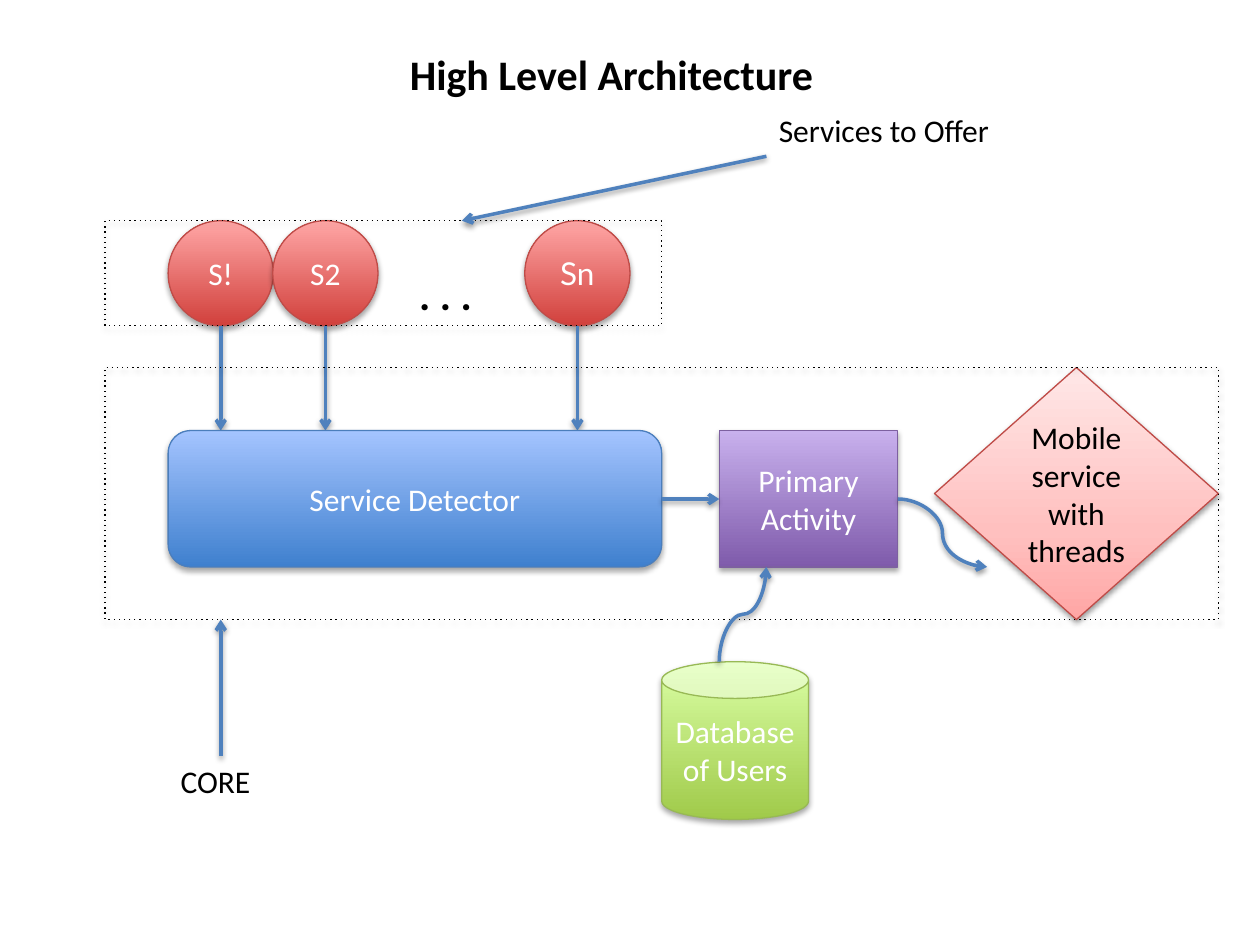
from copy import deepcopy

from lxml.etree import SubElement
from pptx import Presentation
from pptx.dml.color import RGBColor
from pptx.enum.shapes import MSO_CONNECTOR as Link, MSO_SHAPE as Preset
from pptx.enum.text import MSO_AUTO_SIZE as AutoSize, PP_ALIGN as Align
from pptx.oxml.ns import qn
from pptx.util import Cm, Pt

BLUE, BLACK, WHITE = "4F81BD", "000000", "FFFFFF"
SOLID_SHADOW = {"blur": 40000, "dist": 23000, "alpha": 35000}
SOFT_SHADOW = {"blur": 40000, "dist": 20000, "alpha": 38000}

RED = {"stops": [(0, "D1403C"), (1, "FFA6A5")], "line": "BF4C48"}
STEEL = {"stops": [(0, "3F80CE"), (1, "A4C4FF")], "line": "4B7EBC"}
GREEN = {"stops": [(0, "A0CA4A"), (1, "DAFFA5")], "line": "98B955"}
PURPLE = {"stops": [(0, "7F5BAB"), (1, "C8B0ED")], "line": "7D60A0"}
PINK = {"stops": [(0, "FFA6A5"), (0.35, "FFC0BF"), (1, "FFE7E7")], "line": "BF4C48",
        "shadow": SOFT_SHADOW, "color": BLACK}
DOTTED = {"stops": [], "line": BLACK}

CIRCLE, CIRCLE_TOP, CORE_TOP, CORE_BOTTOM = 2.12, 4.45, 7.41, 12.49
ROW_TOP, ROW_HEIGHT = 8.68, 2.75
ROW_MIDDLE, ROW_BOTTOM = 10.06, ROW_TOP + ROW_HEIGHT
services = [("S!", 3.39, "Calibri"), ("S2", 5.5, "Calibri"), ("Sn", 10.58, "Lato")]

nodes = [
    ("Service Detector", Preset.ROUNDED_RECTANGLE, (3.39, ROW_TOP, 9.95, ROW_HEIGHT), STEEL),
    ("Database of Users", Preset.CAN, (13.34, 13.34, 2.96, 3.18), GREEN),
    ("Primary Activity", Preset.RECTANGLE, (14.5, ROW_TOP, 3.6, ROW_HEIGHT), PURPLE),
    ("Mobile service with threads", Preset.DIAMOND, (18.84, CORE_TOP, 5.72, 5.08), PINK),
    ("", Preset.RECTANGLE, (2.12, CORE_TOP, 22.44, 5.08), DOTTED),
    ("", Preset.RECTANGLE, (2.12, CIRCLE_TOP, 11.22, CIRCLE), DOTTED),
]
arrows = [
    (Link.STRAIGHT, (13.34, ROW_MIDDLE), (14.5, ROW_MIDDLE)),
    (Link.CURVE, (18.1, ROW_MIDDLE), (19.9, ROW_BOTTOM)),
    (Link.STRAIGHT, (4.45, 15.24), (4.45, CORE_BOTTOM)),
    (Link.STRAIGHT, (15.45, 3.15), (9.31, CIRCLE_TOP)),
]
database_link = (14.5, 13.34), (15.45, ROW_BOTTOM)
labels = [
    ("CORE", (3.39, 15.24, 4.23, 1.03), {"size": Pt(18)}, Align.LEFT, 0.25),
    ("Services to Offer", (15.45, 2.12, 5.5, 1.03), {"size": Pt(18)}, Align.LEFT, 0.25),
    (". . .", (7.62, 5.29, 2.96, 1.28), {"size": Pt(24), "bold": True}, Align.LEFT, 0.83),
    ("High Level Architecture", (6.56, 0.85, 11.54, 1.28),
     {"size": Pt(24), "bold": True}, Align.CENTER, 0.25),
]


def rgb(value):
    return RGBColor.from_string(value)


def set_all(target, values):
    for name, value in values.items():
        setattr(target, name, value)


def add_shadow(item, blur, dist, alpha):
    effects = SubElement(item._element.spPr, qn("a:effectLst"))
    outer = SubElement(effects, qn("a:outerShdw"), blurRad=str(blur), dist=str(dist),
                       dir="5400000", rotWithShape="0")
    color = SubElement(outer, qn("a:srgbClr"), val=BLACK)
    SubElement(color, qn("a:alpha"), val=str(alpha))


def write(frame, text, align, color, font):
    paragraph = frame.paragraphs[0]
    paragraph.alignment = align
    run = paragraph.add_run()
    run.text = text
    set_all(run.font, {"name": "Calibri", "size": Pt(18), **font})
    run.font.color.rgb = rgb(color)


def add_node(text, preset, box, style, font="Calibri"):
    shape = slide.shapes.add_shape(preset, *map(Cm, box))
    stops = style["stops"]
    if stops:
        shape.fill.gradient()
        shape.fill.gradient_angle = 90
        stop_list = shape._element.spPr.find(".//" + qn("a:gsLst"))
        for _ in stops[2:]:
            stop_list.insert(1, deepcopy(stop_list[0]))
        for stop, (position, color) in zip(shape.fill.gradient_stops, stops):
            stop.position = position
            stop.color.rgb = rgb(color)
    else:
        shape.fill.background()
    shape.line.color.rgb = rgb(style["line"])
    shape.line.width = Pt(0.75)
    if not stops:
        SubElement(shape._element.spPr.find(qn("a:ln")), qn("a:prstDash"), val="dot")
    add_shadow(shape, **style.get("shadow", SOLID_SHADOW))
    if text:
        write(shape.text_frame, text, Align.CENTER, style.get("color", WHITE), {"name": font})


def add_arrow(kind, start, end):
    connector = slide.shapes.add_connector(kind, *map(Cm, start + end))
    connector.line.color.rgb = rgb(BLUE)
    connector.line.width = Pt(2)
    SubElement(connector._element.spPr.find(qn("a:ln")), qn("a:tailEnd"), type="arrow")
    add_shadow(connector, **SOFT_SHADOW)
    return connector


def add_rising_curve(start, end):
    middle_x, middle_y = (start[0] + end[0]) / 2, (start[1] + end[1]) / 2
    half_width, half_height = (start[1] - end[1]) / 2, (end[0] - start[0]) / 2
    connector = add_arrow(Link.CURVE, (middle_x + half_width, middle_y + half_height),
                          (middle_x - half_width, middle_y - half_height))
    connector._element.spPr.find(qn("a:xfrm")).set("rot", "5400000")


def add_label(text, box, font, align, margin):
    frame = slide.shapes.add_textbox(*map(Cm, box)).text_frame
    set_all(frame, {"word_wrap": True, "auto_size": AutoSize.SHAPE_TO_FIT_TEXT,
                    "margin_left": Cm(margin)})
    write(frame, text, align, BLACK, font)


presentation = Presentation()
set_all(presentation, {"slide_width": Cm(25.4), "slide_height": Cm(19.05)})
slide = presentation.slides.add_slide(presentation.slide_layouts[6])

for name, left, font in services:
    add_node(name, Preset.OVAL, (left, CIRCLE_TOP, CIRCLE, CIRCLE), RED, font)
    center = left + CIRCLE / 2
    add_arrow(Link.STRAIGHT, (center, CIRCLE_TOP + CIRCLE), (center, ROW_TOP))
for node in nodes:
    add_node(*node)
for arrow in arrows:
    add_arrow(*arrow)
add_rising_curve(*database_link)
for label in labels:
    add_label(*label)

presentation.save("out.pptx")
